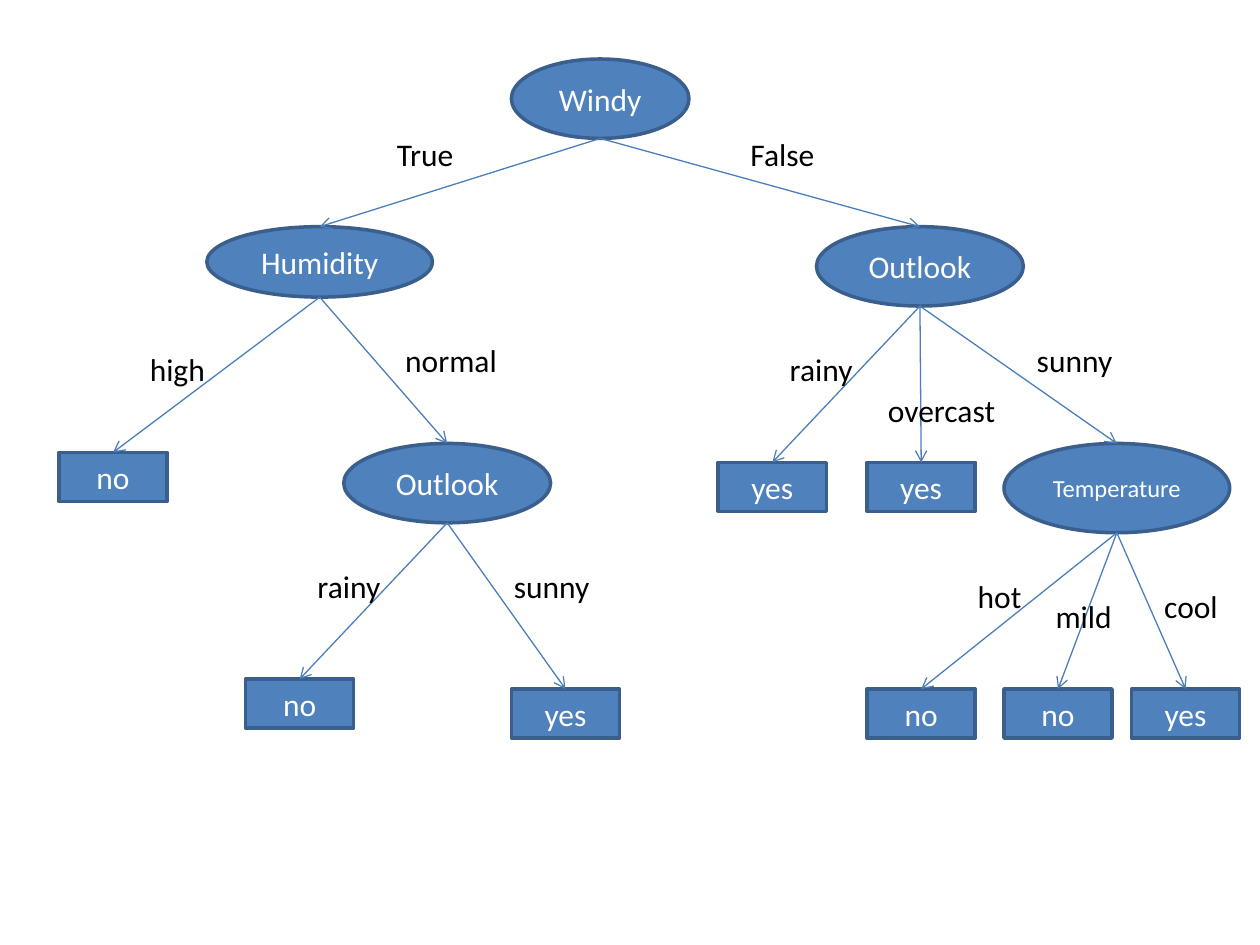
from dataclasses import dataclass

from lxml.etree import SubElement
from pptx import Presentation
from pptx.dml.color import RGBColor
from pptx.enum.shapes import MSO_CONNECTOR, MSO_SHAPE
from pptx.enum.text import MSO_ANCHOR, MSO_AUTO_SIZE, PP_ALIGN
from pptx.oxml.ns import qn
from pptx.util import Cm, Pt


@dataclass(frozen=True)
class Theme:
    font: str = "Calibri"
    fill: RGBColor = RGBColor(0x4F, 0x81, 0xBD)
    outline: RGBColor = RGBColor(0x3A, 0x5F, 0x8C)
    arrow: RGBColor = RGBColor(0x4B, 0x7E, 0xBC)
    light: RGBColor = RGBColor(0xFF, 0xFF, 0xFF)
    dark: RGBColor = RGBColor(0, 0, 0)
    body: int = 18
    small: int = 14
    outline_width: float = 2
    arrow_width: float = 0.75


def write(tf, text, *, font, size, color, align, anchor, wrap):
    tf.word_wrap = wrap
    tf.vertical_anchor = anchor
    p = tf.paragraphs[0]
    p.alignment = align
    r = p.add_run()
    r.text = text
    r.font.name = font
    r.font.size = Pt(size)
    r.font.color.rgb = color


class TreeSlide:
    leaf_size = (2.18, 0.99)
    label_height = 1.02

    def __init__(self, slide, theme):
        self.s = slide
        self.theme = theme

    def node(self, kind, text, x, y, w, h, size):
        t = self.theme
        sp = self.s.shapes.add_shape(kind, Cm(x), Cm(y), Cm(w), Cm(h))
        sp.shadow.inherit = False
        sp.fill.solid()
        sp.fill.fore_color.rgb = t.fill
        sp.line.color.rgb = t.outline
        sp.line.width = Pt(t.outline_width)
        write(sp.text_frame, text, font=t.font, size=size, color=t.light,
              align=PP_ALIGN.CENTER, anchor=MSO_ANCHOR.MIDDLE, wrap=True)
        return sp

    def test(self, text, x, y, w, h, size=None):
        return self.node(MSO_SHAPE.OVAL, text, x, y, w, h, size or self.theme.body)

    def leaf(self, text, x, y):
        return self.node(MSO_SHAPE.RECTANGLE, text, x, y, *self.leaf_size, self.theme.body)

    def label(self, text, x, y, w):
        t = self.theme
        tf = self.s.shapes.add_textbox(Cm(x), Cm(y), Cm(w), Cm(self.label_height)).text_frame
        tf.auto_size = MSO_AUTO_SIZE.SHAPE_TO_FIT_TEXT
        write(tf, text, font=t.font, size=t.body, color=t.dark,
              align=PP_ALIGN.LEFT, anchor=MSO_ANCHOR.TOP, wrap=False)

    def arrow(self, parent, child):
        cxn = self.s.shapes.add_connector(
            MSO_CONNECTOR.STRAIGHT,
            parent.left + parent.width // 2, parent.top + parent.height,
            child.left + child.width // 2, child.top)
        cxn.line.color.rgb = self.theme.arrow
        cxn.line.width = Pt(self.theme.arrow_width)
        SubElement(cxn.line._get_or_add_ln(), qn("a:tailEnd"), type="arrow")
        SubElement(cxn._element.spPr, qn("a:effectLst"))

    def branch(self, parent, child, text, x, y, w):
        self.arrow(parent, child)
        self.label(text, x, y, w)


prs = Presentation()
prs.slide_width, prs.slide_height = Cm(25.4), Cm(19.05)
theme = Theme()
tree = TreeSlide(prs.slides.add_slide(prs.slide_layouts[6]), theme)

windy = tree.test("Windy", 10.31, 1.19, 3.58, 1.6)
humidity = tree.test("Humidity", 4.17, 4.57, 4.55, 1.42)
outlook_calm = tree.test("Outlook", 16.46, 4.57, 4.17, 1.6)
outlook_windy = tree.test("Outlook", 6.93, 8.94, 4.17, 1.6)
temperature = tree.test("Temperature", 20.24, 8.94, 4.55, 1.8, theme.small)

branches = [
    (windy, humidity, "True", 7.75, 2.59, 1.68),
    (windy, outlook_calm, "False", 14.88, 2.59, 1.8),
    (humidity, tree.leaf("no", 1.19, 9.12), "high", 2.77, 6.93, 1.65),
    (humidity, outlook_windy, "normal", 7.92, 6.76, 2.39),
    (outlook_windy, tree.leaf("no", 4.95, 13.69), "rainy", 6.15, 11.3, 1.8),
    (outlook_windy, tree.leaf("yes", 10.31, 13.89), "sunny", 10.11, 11.3, 2.06),
    (outlook_calm, tree.leaf("yes", 14.48, 9.32), "rainy", 15.67, 6.93, 1.8),
    (outlook_calm, tree.leaf("yes", 17.48, 9.32), "overcast", 17.65, 7.75, 2.69),
    (outlook_calm, temperature, "sunny", 20.65, 6.76, 2.06),
    (temperature, tree.leaf("no", 17.48, 13.89), "hot", 19.46, 11.51, 1.4),
    (temperature, tree.leaf("no", 20.24, 13.89), "mild", 21.03, 11.91, 1.65),
    (temperature, tree.leaf("yes", 22.81, 13.89), "cool", 23.22, 11.71, 1.6),
]
for branch in branches:
    tree.branch(*branch)

prs.save("out.pptx")
